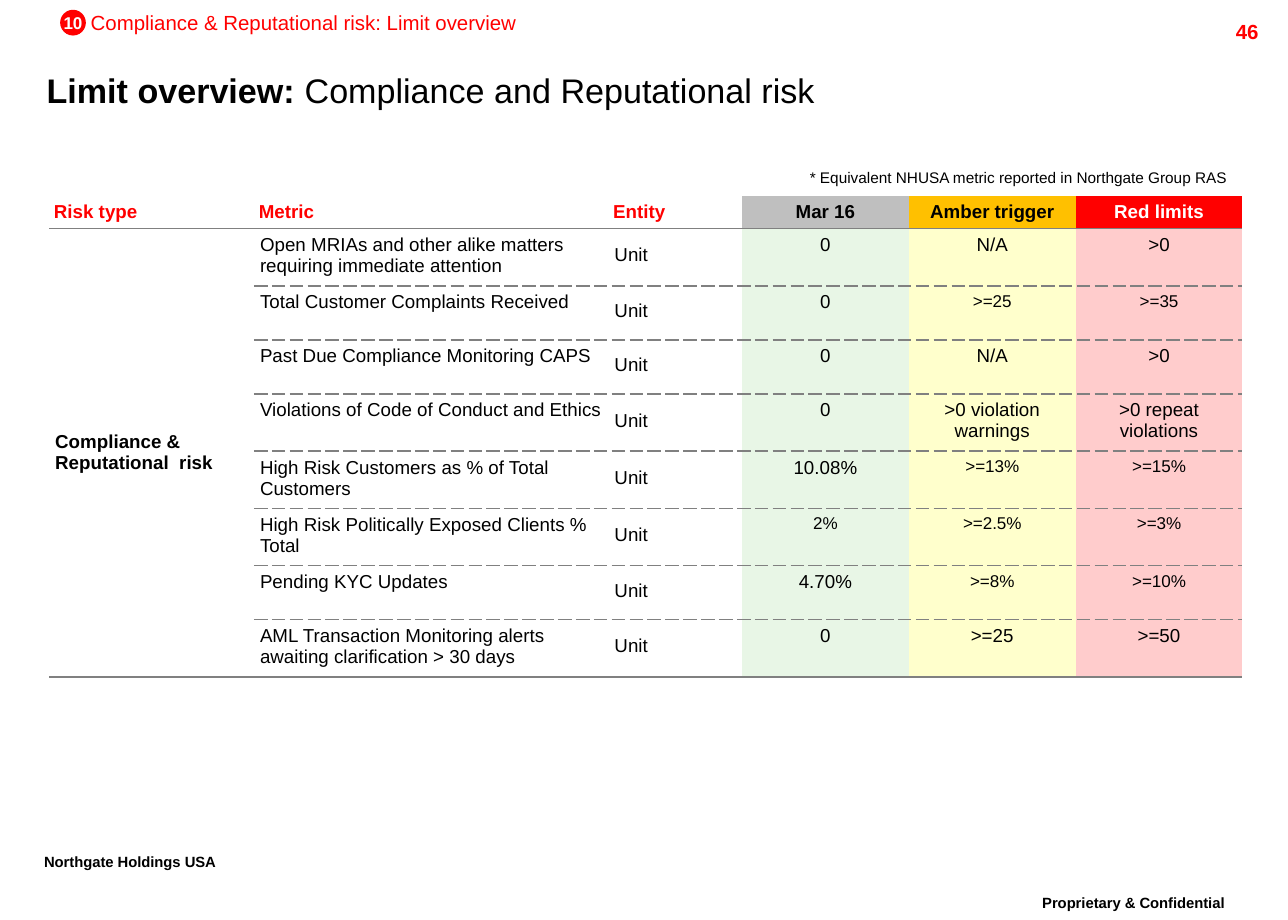
from lxml import etree
from pptx import Presentation
from pptx import util as u
from pptx.dml.color import RGBColor
from pptx.enum import shapes, text
from pptx.oxml.ns import qn

FONT = "Arial"
RED, BLACK, WHITE, GREY = "FF0000", "000000", "FFFFFF", "808080"
LEFT, CENTER, RIGHT = text.PP_ALIGN.LEFT, text.PP_ALIGN.CENTER, text.PP_ALIGN.RIGHT
NO_STYLE = "{2D5ABB26-0587-4C30-8999-92F81FD0307C}"

COLUMN_WIDTHS = [1.67, 2.89, 1.09, 1.36, 1.36, 1.36]
HEADER_HEIGHT, ROW_HEIGHT = 0.25, 0.44
HEADERS = [  # label, text colour, fill
    ("Risk type", RED, WHITE),
    ("Metric", RED, WHITE),
    ("Entity", RED, WHITE),
    ("Mar 16", BLACK, "BFBFBF"),
    ("Amber trigger", BLACK, "FFC000"),
    ("Red limits", WHITE, RED),
]
BODY_FILLS = [WHITE, WHITE, WHITE, "E8F6E6", "FFFFCC", "FFCCCC"]
ENTITY = "Unit"
METRICS = [  # metric, March value, amber trigger, red limit, count of smaller cells at the right
    ("Open MRIAs and other alike matters requiring immediate attention", "0", "N/A", ">0", 0),
    ("Total Customer Complaints Received", "0", ">=25", ">=35", 2),
    ("Past Due Compliance Monitoring CAPS", "0", "N/A", ">0", 0),
    ("Violations of Code of Conduct and Ethics", "0", ">0 violation warnings",
     ">0 repeat violations", 0),
    ("High Risk Customers as % of Total Customers", "10.08%", ">=13%", ">=15%", 2),
    ("High Risk Politically Exposed Clients % Total", "2%", ">=2.5%", ">=3%", 3),
    ("Pending KYC Updates", "4.70%", ">=8%", ">=10%", 2),
    ("AML Transaction Monitoring alerts awaiting clarification > 30 days",
     "0", ">=25", ">=50", 0),
]


def rgb(value):
    return RGBColor.from_string(value)


def style_run(run, size, color=BLACK, bold=False):
    run.font.name = FONT
    run.font.size = u.Pt(size)
    run.font.bold = bold
    run.font.color.rgb = rgb(color)


def write(frame, content, size, color=BLACK, bold=False, align=LEFT):
    frame.text = content
    paragraph = frame.paragraphs[0]
    paragraph.alignment = align
    style_run(paragraph.runs[0], size, color, bold)
    return paragraph


def add_label(slide, box, content, size, top_inset=0.05, **style):
    frame = slide.shapes.add_textbox(*map(u.Inches, box)).text_frame
    frame.word_wrap = True
    frame.margin_left = frame.margin_right = 0
    frame.margin_top = frame.margin_bottom = u.Inches(top_inset)
    return write(frame, content, size, **style)


def add_raised_label(slide, box, content, align):
    paragraph = add_label(slide, box, content, 15, bold=True, align=align)
    paragraph.line_spacing = 0.86
    paragraph.runs[0].font._element.set("baseline", "30000")


def add_section_number(slide, box, number):
    badge = slide.shapes.add_shape(shapes.MSO_SHAPE.OVAL, *map(u.Inches, box))
    badge.shadow.inherit = False
    badge.fill.solid()
    badge.fill.fore_color.rgb = rgb(RED)
    badge.line.fill.background()
    frame = badge.text_frame
    frame.word_wrap = False
    frame.vertical_anchor = text.MSO_ANCHOR.MIDDLE
    frame.margin_left = frame.margin_right = frame.margin_top = frame.margin_bottom = 0
    write(frame, number, 10, WHITE, True, CENTER)


def add_title(slide, lead, topic):
    title = slide.shapes.title
    title.left, title.top, title.width, title.height = map(u.Inches, (0.38, 0.49, 9.48, 0.48))
    frame = title.text_frame
    frame.margin_left = frame.margin_right = frame.margin_top = frame.margin_bottom = 0
    frame.vertical_anchor = text.MSO_ANCHOR.MIDDLE
    paragraph = write(frame, lead, 20, bold=True)
    run = paragraph.add_run()
    run.text = topic
    style_run(run, 20)


def rule_below(cell, dash):
    line = etree.Element(qn("a:lnB"), w=str(u.Pt(1)))
    fill = etree.SubElement(line, qn("a:solidFill"))
    etree.SubElement(fill, qn("a:srgbClr"), val=GREY)
    etree.SubElement(line, qn("a:prstDash"), val=dash)
    cell._tc.get_or_add_tcPr().insert(0, line)


def fill_cell(cell, content, fill, size=11, inset=0.05, middle=False, **style):
    cell.margin_left = cell.margin_right = u.Inches(inset)
    cell.margin_top = cell.margin_bottom = u.Inches(inset)
    cell.vertical_anchor = text.MSO_ANCHOR.MIDDLE if middle else text.MSO_ANCHOR.TOP
    cell.fill.solid()
    cell.fill.fore_color.rgb = rgb(fill)
    return write(cell.text_frame, content, size, **style)


def add_limits_table(slide):
    last = len(METRICS)
    height = HEADER_HEIGHT + last * ROW_HEIGHT
    table = slide.shapes.add_table(
        last + 1, len(HEADERS), u.Inches(0.4), u.Inches(1.6),
        u.Inches(sum(COLUMN_WIDTHS)), u.Inches(height)).table
    table.first_row = table.horz_banding = False
    table._tbl.tblPr.find(qn("a:tableStyleId")).text = NO_STYLE
    for column, width in zip(table.columns, COLUMN_WIDTHS):
        column.width = u.Inches(width)
    for index, row in enumerate(table.rows):
        row.height = u.Inches(ROW_HEIGHT if index else HEADER_HEIGHT)

    # Header row
    for col, (label, color, fill) in enumerate(HEADERS):
        fill_cell(table.cell(0, col), label, fill, inset=0.04, middle=True,
                  color=color, bold=True, align=CENTER if col > 2 else LEFT)
        rule_below(table.cell(0, col), "solid")

    # Risk type spanning all metrics
    risk_type = table.cell(1, 0)
    risk_type.merge(table.cell(last, 0))
    fill_cell(risk_type, "Compliance & Reputational  risk", BODY_FILLS[0],
              middle=True, bold=True)
    for row in (1, last):
        rule_below(table.cell(row, 0), "solid")

    # Metric rows
    for row, (metric, *values, small_count) in enumerate(METRICS, 1):
        for col, content in enumerate([metric, ENTITY, *values], 1):
            cell = table.cell(row, col)
            small = col >= len(HEADERS) - small_count
            paragraph = fill_cell(cell, content, BODY_FILLS[col], 10 if small else 11,
                                  middle=col == 2, align=CENTER if col > 2 else LEFT)
            if col == 2:
                paragraph.line_spacing = u.Pt(10)
            rule_below(cell, "solid" if row == last else "sysDash")


def main():
    deck = Presentation()
    deck.slide_width, deck.slide_height = u.Inches(10.5), u.Inches(7.5)
    slide = deck.slides.add_slide(deck.slide_layouts[5])

    # Footer and page number
    add_raised_label(slide, (8.15, 7.25, 2.18, 0.35), "Proprietary & Confidential", CENTER)
    add_raised_label(slide, (0.36, 6.91, 1.9, 0.35), "Northgate Holdings USA", LEFT)
    add_label(slide, (9.36, 0.11, 0.9, 0.24), "46", 12, color=RED, bold=True, align=RIGHT)

    # Title and table
    add_title(slide, "Limit overview: ", "Compliance and Reputational risk")
    add_limits_table(slide)
    note = add_label(slide, (6.49, 1.34, 3.62, 0.23),
                     "* Equivalent NHUSA metric reported in Northgate Group RAS", 9, align=CENTER)
    note.line_spacing = 0.86

    # Section marker
    add_label(slide, (0.74, 0.08, 3.6, 0.2), "Compliance & Reputational risk: Limit overview",
              12, top_inset=0, color=RED)
    add_section_number(slide, (0.49, 0.08, 0.21, 0.21), "10")

    deck.save("out.pptx")


if __name__ == "__main__":
    main()
